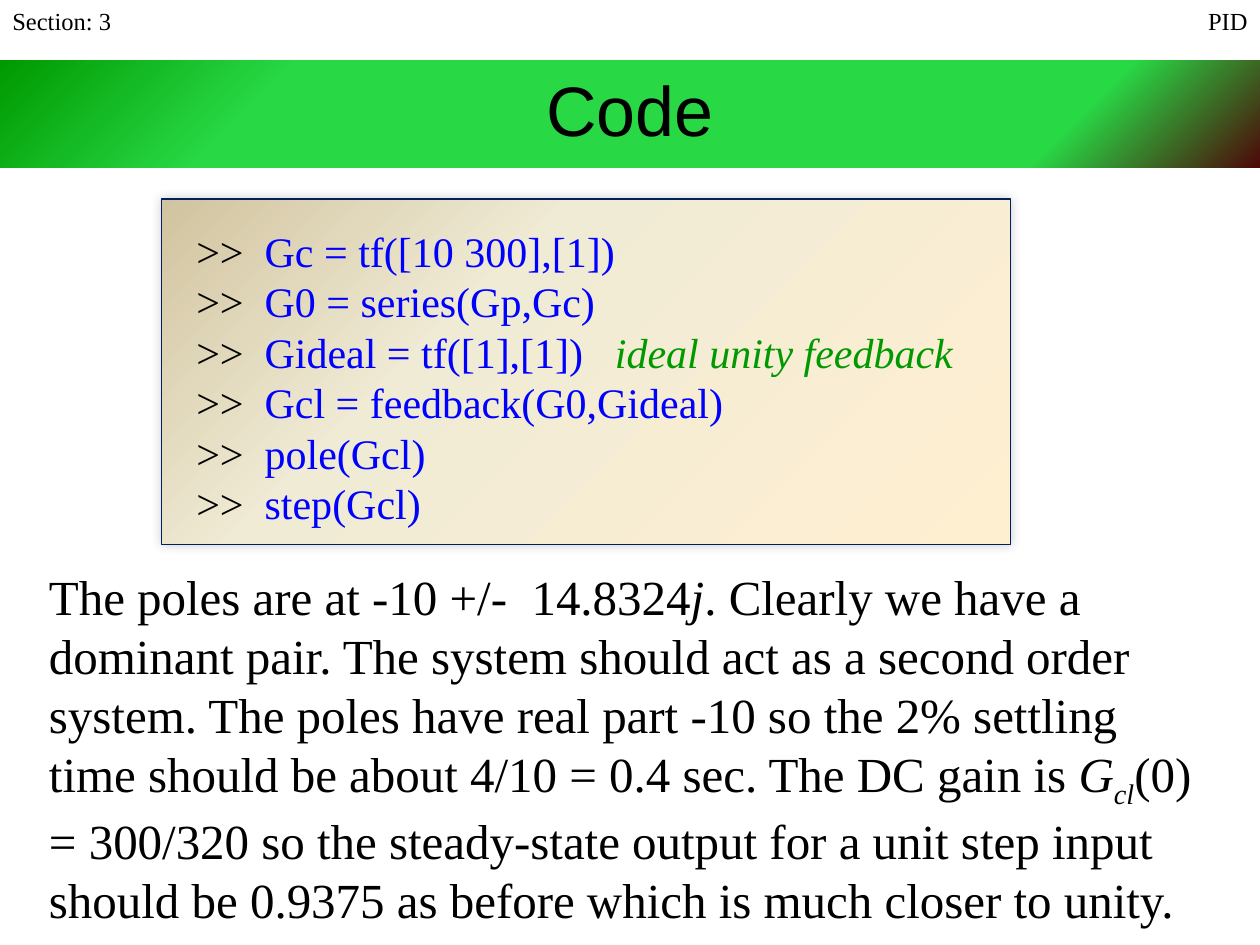
from lxml import etree
from pptx import Presentation
from pptx.dml.color import RGBColor
from pptx.enum.shapes import MSO_SHAPE
from pptx.enum.text import MSO_ANCHOR, PP_ALIGN
from pptx.oxml.ns import qn
from pptx.util import Inches, Pt

RECT = MSO_SHAPE.RECTANGLE
MIDDLE = MSO_ANCHOR.MIDDLE
LEFT, CENTER, RIGHT = PP_ALIGN.LEFT, PP_ALIGN.CENTER, PP_ALIGN.RIGHT

# Content
TITLE = "Code"
SECTION, TOPIC = "Section: 3", "PID"
PROMPT = ">>  "
CODE = [  # command, comment
    ("Gc = tf([10 300],[1])", ""),
    ("G0 = series(Gp,Gc)", ""),
    ("Gideal = tf([1],[1])   ", "ideal unity feedback"),
    ("Gcl = feedback(G0,Gideal)", ""),
    ("pole(Gcl)", ""),
    ("step(Gcl)", ""),
]
DISCUSSION = [  # text, style
    ("The poles are at -10 +/-  14.8324", "plain"),
    ("j", "italic"),
    (". Clearly we have a dominant pair. The system should act as a second order "
     "system. The poles have real part -10 so the 2% settling time should be about "
     "4/10 = 0.4 sec. The DC gain is ", "plain"),
    ("G", "italic"),
    ("cl", "subscript"),
    ("(0) = 300/320 so the steady-state output for a unit step input should be "
     "0.9375 as before which is much closer to unity.", "plain"),
]

THEME = {
    "title_font": "Arial", "text_font": "Times New Roman",
    "title": 40, "body": 28, "code": 24, "header": 14,
    "ink": "000000", "command": "0000FF", "comment": "009900", "border": "002060",
    "banner": [(0, "009900"), (22, "28D845"), (83, "28D845"), (100, "4D0808")],
    "panel": [(0, "D1C39F"), (35, "F0EBD5"), (100, "FFEFD1")],
}


def color(name):
    return RGBColor.from_string(THEME[name])


def add_panel(slide, box, stops):
    """Add a rectangle with a gradient from top left to bottom right."""
    sp = slide.shapes.add_shape(RECT, *map(Inches, box))
    sp.shadow.inherit = False
    sp.line.fill.background()
    sp.fill.gradient()
    sp.fill.gradient_angle = 315
    stop_list = sp._element.spPr.find(qn("a:gradFill")).find(qn("a:gsLst"))
    for stop in list(stop_list):
        stop_list.remove(stop)
    for position, rgb in stops:
        stop = etree.SubElement(stop_list, qn("a:gs"), pos=str(position * 1000))
        etree.SubElement(stop, qn("a:srgbClr"), val=rgb)
    return sp


def add_soft_shadow(sp, blur, opacity):
    effects = sp._element.spPr.find(qn("a:effectLst"))
    shadow = etree.SubElement(effects, qn("a:outerShdw"), blurRad=str(Pt(blur)),
                              dist="0", dir="18900000", algn="bl", rotWithShape="0")
    rgb = etree.SubElement(shadow, qn("a:srgbClr"), val="000000")
    etree.SubElement(rgb, qn("a:alpha"), val=str(opacity * 1000))


def format_paragraph(p, size, align=LEFT, font="text_font"):
    p.alignment = align
    p.font.name = THEME[font]
    p.font.size = Pt(THEME[size])
    p.font.color.rgb = color("ink")


def add_text_frame(slide, box):
    tf = slide.shapes.add_textbox(*map(Inches, box)).text_frame
    tf.word_wrap = True
    return tf


def add_run(p, text, ink="ink", italic=False):
    r = p.add_run()
    r.text = text
    r.font.color.rgb = color(ink)
    r.font.italic = italic
    return r


def add_header(slide, text, box, align):
    p = add_text_frame(slide, box).paragraphs[0]
    p.text = text
    format_paragraph(p, "header", align)


def add_title(slide):
    title = slide.shapes.title
    title.left, title.top, title.width, title.height = map(Inches, (0.75, 0.48, 8.5, 0.77))
    tf = title.text_frame
    tf.text = TITLE
    tf.vertical_anchor = MIDDLE
    format_paragraph(tf.paragraphs[0], "title", CENTER, "title_font")


def add_code(slide):
    tf = add_text_frame(slide, (1.46, 1.74, 8.5, 2.5))
    for i, (command, comment) in enumerate(CODE):
        p = tf.add_paragraph() if i else tf.paragraphs[0]
        format_paragraph(p, "code")
        add_run(p, PROMPT)
        add_run(p, command, "command")
        if comment:
            add_run(p, comment, "comment", italic=True)


def add_discussion(slide):
    p = add_text_frame(slide, (0.29, 4.45, 9.42, 2.93)).paragraphs[0]
    format_paragraph(p, "body")
    for text, style in DISCUSSION:
        r = add_run(p, text, italic=style != "plain")
        if style == "subscript":
            r.font._element.set("baseline", "-25000")


def main():
    prs = Presentation()
    prs.slide_width, prs.slide_height = Inches(10), Inches(7.5)
    slide = prs.slides.add_slide(prs.slide_layouts.get_by_name("Title Only"))

    add_panel(slide, (0, 0.48, 10, 0.85), THEME["banner"])
    panel = add_panel(slide, (1.28, 1.58, 6.74, 2.74), THEME["panel"])
    panel.line.color.rgb = color("border")
    panel.line.width = Pt(0.75)
    add_soft_shadow(panel, blur=6, opacity=20)

    # The title is created first, so bring it in front of the banner
    title = slide.shapes.title._element
    title.getparent().append(title)
    add_title(slide)
    add_header(slide, SECTION, (0, 0, 1.77, 0.33), LEFT)
    add_header(slide, TOPIC, (7.62, 0, 2.38, 0.33), RIGHT)
    add_code(slide)
    add_discussion(slide)
    prs.save("out.pptx")


if __name__ == "__main__":
    main()
